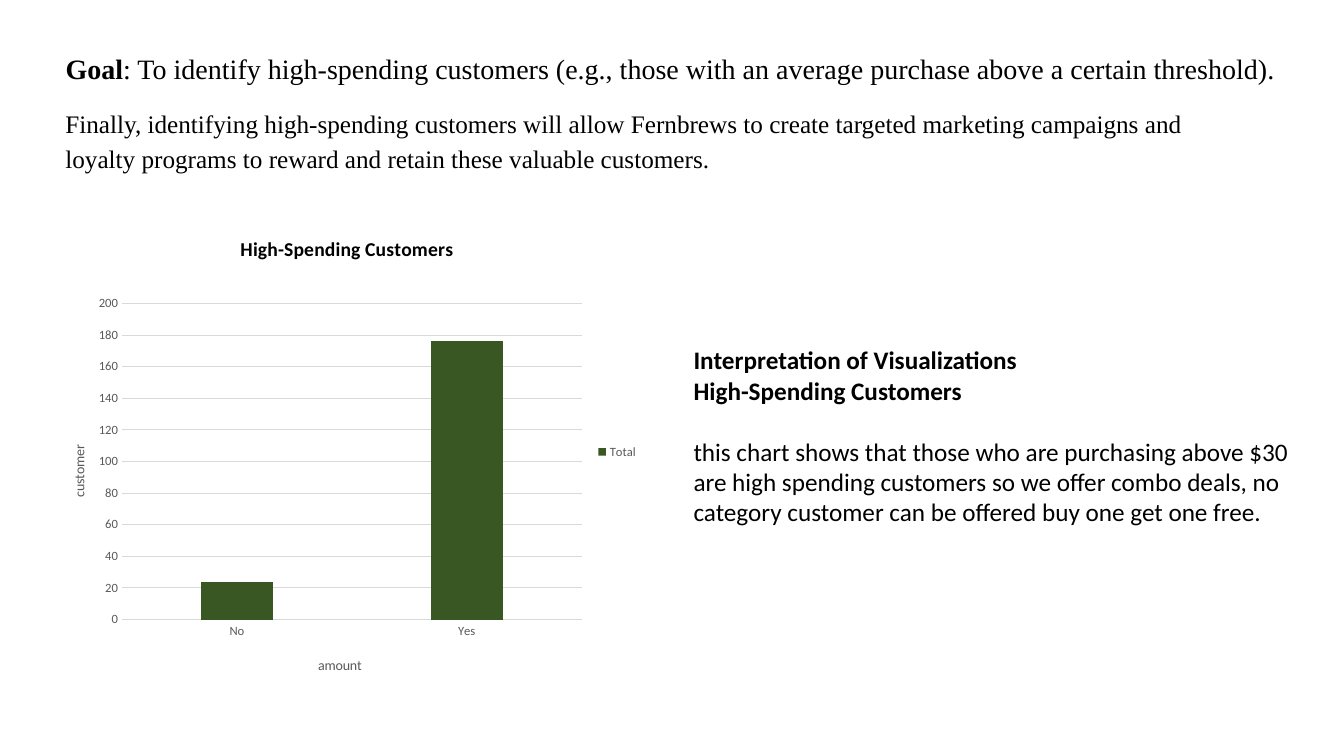
from dataclasses import dataclass
from lxml import etree
from pptx import Presentation
from pptx.chart.data import CategoryChartData
from pptx.dml.color import RGBColor
from pptx.enum.chart import XL_CHART_TYPE as ChartType
from pptx.enum.chart import XL_LEGEND_POSITION as LegendPosition
from pptx.enum.chart import XL_TICK_MARK as TickMark
from pptx.enum.text import MSO_ANCHOR as Anchor
from pptx.enum.text import MSO_AUTO_SIZE as AutoSize
from pptx.enum.text import PP_ALIGN as Align
from pptx.oxml.ns import qn
from pptx.util import Inches, Pt

# Content: each paragraph is a list of (text, bold) runs
GOAL = [[("Goal", True),
         (": To identify high-spending customers (e.g., those with an average "
          "purchase above a certain threshold).", False)]]
SUMMARY = [[("Finally, identifying high-spending customers will allow Fernbrews to "
             "create targeted marketing campaigns and loyalty programs to reward and "
             "retain these valuable customers.", False)]]
INTERPRETATION = [
    [("Interpretation of Visualizations", True)],
    [("High-Spending Customers", True)],
    [("this chart shows that those who are purchasing above $30 are high spending "
      "customers so we offer combo deals, no category customer can be offered buy "
      "one get one free.", False)],
]
CHART_TITLE = "High-Spending Customers"
CATEGORY_TITLE, VALUE_TITLE = "amount", "customer"
CATEGORIES = ["No", "Yes"]
SERIES = ("Total", [24, 176])

# Places: left, top, width, height in inches
GOAL_AREA = (0.55, 0.41, 12.67, 0.47)
SUMMARY_AREA = (0.55, 0.98, 11.94, 0.78)
INTERPRETATION_AREA = (6.78, 3.37, 6.12, 2.22)
CHART_AREA = (0.43, 2.11, 6, 4.75)


@dataclass(frozen=True)
class Theme:
    serif: str = "Times New Roman"
    sans: str = "Calibri"
    ink: RGBColor = RGBColor(0, 0, 0)
    muted: RGBColor = RGBColor(0x59, 0x59, 0x59)
    rule: RGBColor = RGBColor(0xD9, 0xD9, 0xD9)
    bar: RGBColor = RGBColor(0x38, 0x57, 0x23)
    goal: int = 20
    body: int = 18
    chart_title: int = 14
    axis_title: int = 10
    label: int = 9


THEME = Theme()


def style(font, name, size, color, bold=False):
    font.name, font.size, font.bold = name, Pt(size), bold
    font.color.rgb = color


def write(frame, paragraphs, name, size):
    frame.word_wrap = True
    frame.auto_size = AutoSize.NONE
    frame.vertical_anchor = Anchor.TOP
    for index, runs in enumerate(paragraphs):
        para = frame.paragraphs[0] if index == 0 else frame.add_paragraph()
        para.alignment = Align.LEFT
        para.space_before = Pt(0)
        for text, bold in runs:
            span = para.add_run()
            span.text = text
            style(span.font, name, size, THEME.ink, bold)
    return frame.paragraphs


def set_layout(parent, position, **fractions):
    """Place a chart part by fractions of the chart area."""
    for old in parent.findall(qn("c:layout")):
        parent.remove(old)
    layout = etree.Element(qn("c:layout"))
    manual = etree.SubElement(layout, qn("c:manualLayout"))
    if "w" in fractions:
        etree.SubElement(manual, qn("c:layoutTarget")).set("val", "inner")
    for mode in ("xMode", "yMode"):
        etree.SubElement(manual, qn(f"c:{mode}")).set("val", "edge")
    for key, value in fractions.items():
        etree.SubElement(manual, qn(f"c:{key}")).set("val", str(value))
    parent.insert(position, layout)


def write_chart_title(title, text, size, color, bold, x, y, rotation=0):
    span = title.text_frame.paragraphs[0].add_run()
    span.text = text
    style(span.font, THEME.sans, size, color, bold)
    body = title.element.find(".//" + qn("a:bodyPr"))
    body.set("rot", str(rotation * 60000))
    body.set("vert", "horz")
    set_layout(title.element, 1, x=x, y=y)


def add_spending_chart(page):
    data = CategoryChartData()
    data.categories = CATEGORIES
    data.add_series(*SERIES)
    area = [Inches(length) for length in CHART_AREA]
    chart = page.shapes.add_chart(ChartType.COLUMN_CLUSTERED, *area, data).chart
    style(chart.font, THEME.sans, THEME.axis_title, THEME.ink)

    # Bars
    plot = chart.plots[0]
    plot.gap_width, plot.overlap = 219, -27
    plot.vary_by_categories = False
    fill = plot.series[0].format.fill
    fill.solid()
    fill.fore_color.rgb = THEME.bar

    # Axes
    category, value = chart.category_axis, chart.value_axis
    for axis in (category, value):
        axis.major_tick_mark = axis.minor_tick_mark = TickMark.NONE
        style(axis.tick_labels.font, THEME.sans, THEME.label, THEME.muted)
    value.minimum_scale, value.maximum_scale, value.major_unit = 0, 200, 20
    value.format.line.fill.background()
    value.has_major_gridlines = True
    for line in (category.format.line, value.major_gridlines.format.line):
        line.color.rgb = THEME.rule
        line.width = Pt(0.75)

    # Titles, legend and plot area
    chart.has_title = True
    write_chart_title(chart.chart_title, CHART_TITLE, THEME.chart_title,
                      THEME.ink, True, 0.32, 0.04)
    write_chart_title(category.axis_title, CATEGORY_TITLE, THEME.axis_title,
                      THEME.muted, False, 0.45, 0.92)
    write_chart_title(value.axis_title, VALUE_TITLE, THEME.axis_title,
                      THEME.muted, False, 0.04, 0.48, rotation=-90)
    chart.has_legend = True
    chart.legend.position = LegendPosition.RIGHT
    chart.legend.include_in_layout = False
    style(chart.legend.font, THEME.sans, THEME.label, THEME.muted)
    plot_area = chart.element.find(".//" + qn("c:plotArea"))
    set_layout(plot_area, 0, x=0.13, y=0.19, w=0.76, h=0.66)


def add_text(page, area, paragraphs, name, size):
    box = page.shapes.add_textbox(*[Inches(length) for length in area])
    return write(box.text_frame, paragraphs, name, size)


def main():
    deck = Presentation()
    deck.slide_width, deck.slide_height = Inches(13.33), Inches(7.5)
    page = deck.slides.add_slide(deck.slide_layouts[5])

    # Goal as the slide title
    title = page.shapes.title
    title.left, title.top, title.width, title.height = [Inches(n) for n in GOAL_AREA]
    goal = write(title.text_frame, GOAL, THEME.serif, THEME.goal)

    # Summary, chart and interpretation
    summary = add_text(page, SUMMARY_AREA, SUMMARY, THEME.serif, THEME.body)
    for para in (*goal, *summary):
        para.line_spacing = 1.15
        para.space_after = Pt(8)
    add_spending_chart(page)
    reading = add_text(page, INTERPRETATION_AREA, INTERPRETATION, THEME.sans, THEME.body)
    reading[1].space_after = Pt(22)

    deck.save("out.pptx")


if __name__ == "__main__":
    main()
